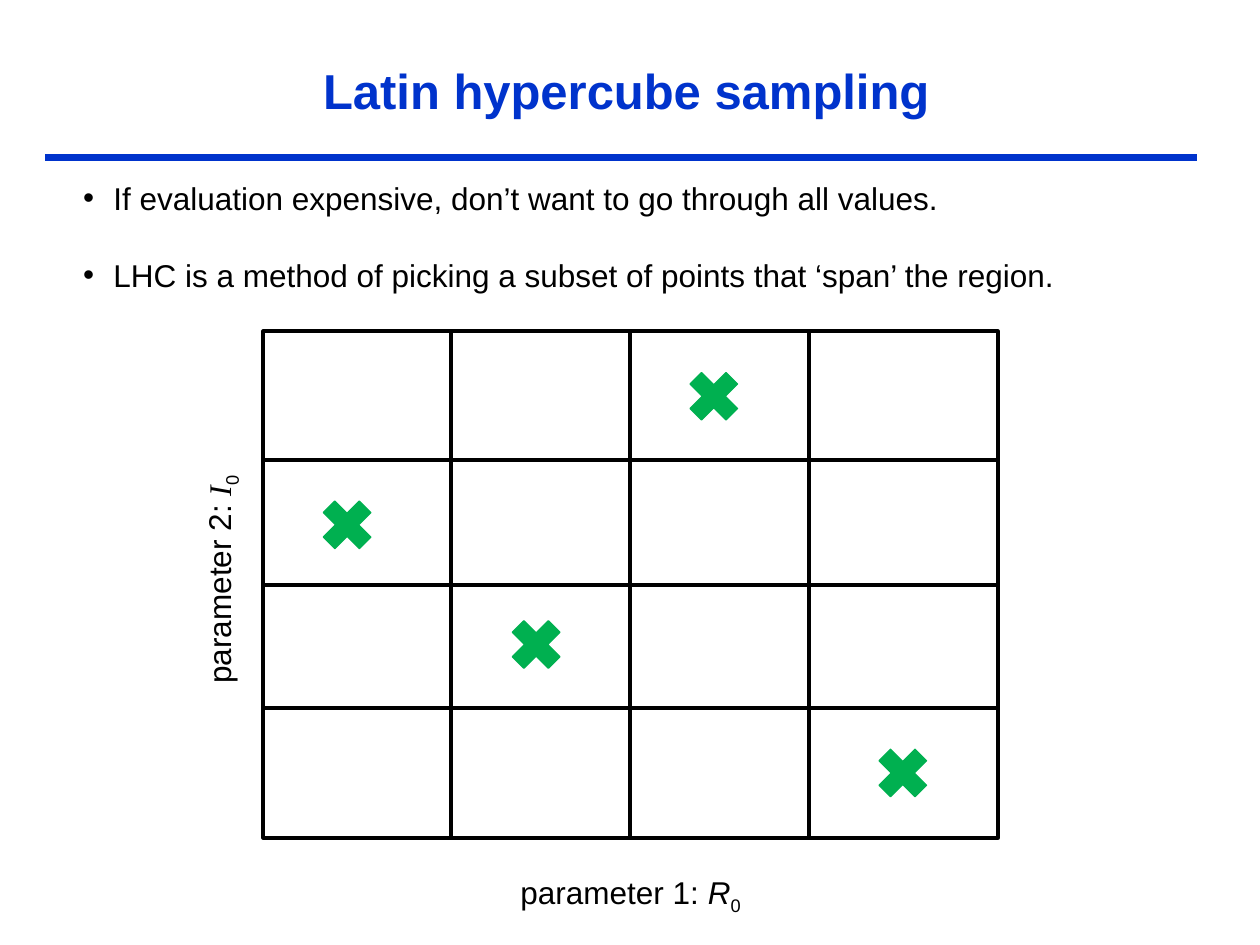
from pptx import Presentation
from pptx.dml.color import RGBColor
from pptx.enum.shapes import MSO_CONNECTOR, MSO_SHAPE
from pptx.enum.text import MSO_ANCHOR, PP_ALIGN
from pptx.oxml.ns import qn
from pptx.util import Inches, Pt
from lxml import etree

BLUE, BLACK, GREEN = "0033CC", "000000", "00B050"


def add_run(p, text, size=18, color=BLACK, subscript=False, **fmt):
    r = p.add_run()
    r.text = text
    for name, value in {"name": "Arial", "size": Pt(size), **fmt}.items():
        setattr(r.font, name, value)
    r.font.color.rgb = RGBColor.from_string(color)
    if subscript:
        r.font._element.set("baseline", "-25000")


def add_line(s, x1, y1, x2, y2, color, width):
    line = s.shapes.add_connector(MSO_CONNECTOR.STRAIGHT, *map(Inches, (x1, y1, x2, y2)))
    line.line.color.rgb = RGBColor.from_string(color)
    line.line.width = Pt(width)
    etree.SubElement(line._element.spPr, qn("a:effectLst"))


prs = Presentation()
prs.slide_width, prs.slide_height = Inches(10), Inches(7.5)
s = prs.slides.add_slide(prs.slide_layouts[1])
title, body = s.placeholders

# Title and rule below it
title.left, title.top, title.width, title.height = map(Inches, (0.47, 0.3, 9, 0.83))
tf = title.text_frame
tf.vertical_anchor = MSO_ANCHOR.MIDDLE
p = tf.paragraphs[0]
p.alignment = PP_ALIGN.CENTER
add_run(p, "Latin hypercube sampling", 28, BLUE, bold=True)
add_line(s, 0.36, 1.25, 9.5, 1.25, BLUE, 4.5)

# Bullets
body.left, body.top, body.width, body.height = map(Inches, (0.56, 1.37, 8.45, 1))
tf = body.text_frame
bullets = ["If evaluation expensive, don’t want to go through all values.",
           "LHC is a method of picking a subset of points that ‘span’ the region."]
for i, text in enumerate(bullets):
    p = tf.add_paragraph() if i else tf.paragraphs[0]
    p.space_before = Pt(22.5 if i else 1)
    pPr = p._p.get_or_add_pPr()
    pPr.set("marL", str(Inches(0.24)))
    pPr.set("indent", str(-Inches(0.24)))
    add_run(p, text)

# Parameter grid: frame and inner lines
left, top, width, height = 2.09, 2.63, 5.83, 4.02
frame = s.shapes.add_shape(MSO_SHAPE.RECTANGLE, *map(Inches, (left, top, width, height)))
frame.shadow.inherit = False
frame.fill.background()
frame.line.color.rgb = RGBColor.from_string(BLACK)
frame.line.width = Pt(2.25)
for x in (3.58, 5, 6.42):
    add_line(s, x, top, x, top + height, BLACK, 2.25)
for y in (3.65, 4.64, 5.62):
    add_line(s, left, y, left + width, y, BLACK, 2.25)

# Axis labels
labels = [(2.09, 6.88, 5.83, 0, "parameter 1: ", "R", "Arial"),
          (-0.31, 4.4, 4.09, 270, "parameter 2: ", "I", "Times New Roman")]
for x, y, w, angle, text, symbol, font in labels:
    box = s.shapes.add_textbox(*map(Inches, (x, y, w, 0.4)))
    box.rotation = angle
    box.text_frame.word_wrap = True
    p = box.text_frame.paragraphs[0]
    p.alignment = PP_ALIGN.CENTER
    add_run(p, text)
    add_run(p, symbol, name=font, italic=True)
    add_run(p, "0", subscript=True)

# Sampled points, one in each row and column
for x, y in [(2.48, 3.89), (3.98, 4.84), (5.39, 2.87), (6.89, 5.86)]:
    cross = s.shapes.add_shape(MSO_SHAPE.MATH_MULTIPLY, *map(Inches, (x, y, 0.55, 0.55)))
    cross.shadow.inherit = False
    cross.fill.solid()
    cross.fill.fore_color.rgb = RGBColor.from_string(GREEN)
    cross.line.color.rgb = RGBColor.from_string(GREEN)
    cross.line.width = Pt(0.75)

prs.save("out.pptx")
